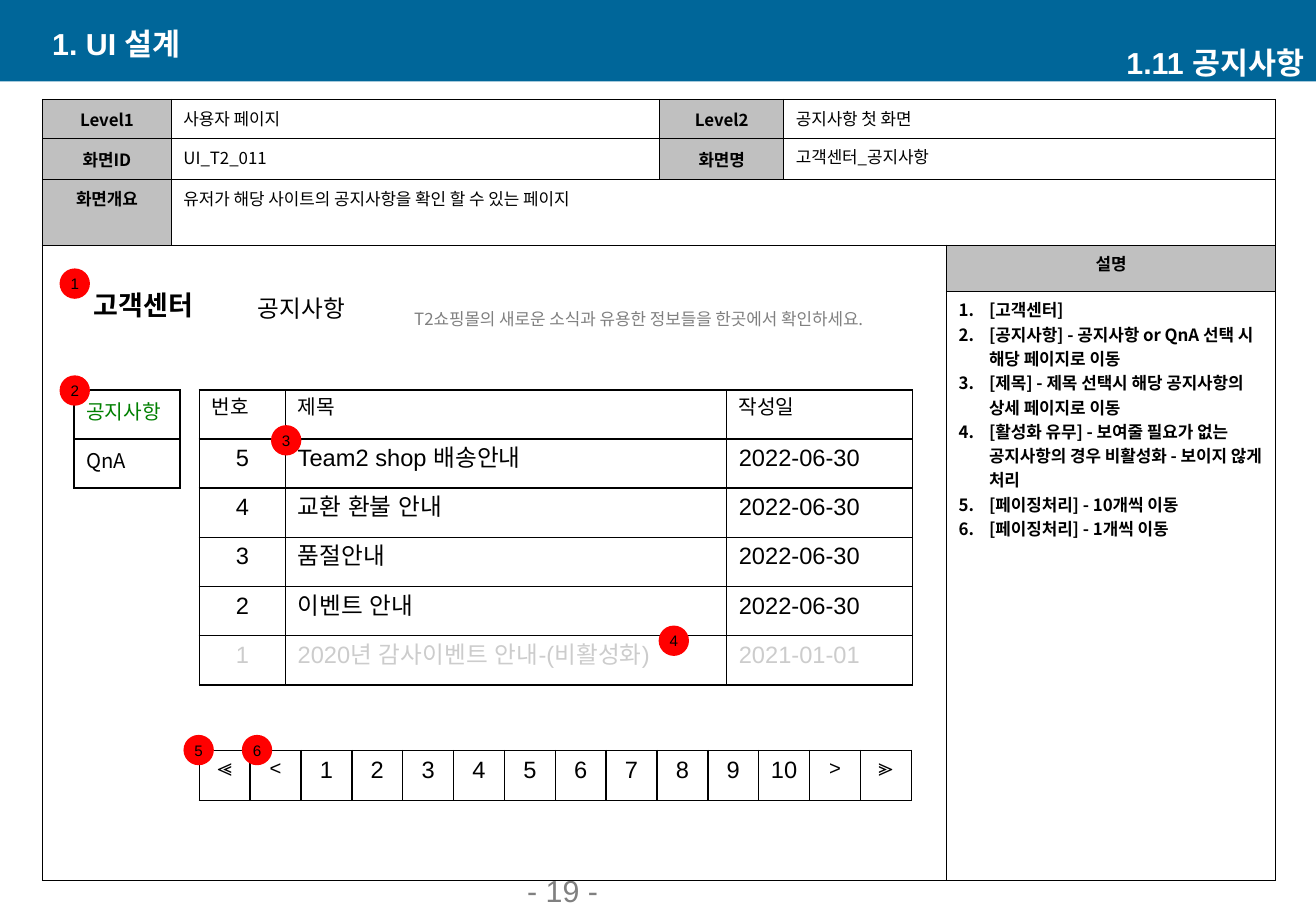
from lxml import etree
from pptx import Presentation
from pptx.dml.color import RGBColor
from pptx.enum import shapes, text
from pptx.oxml import ns
from pptx.util import Inches, Pt

COLORS = {"band": "006699", "label": "C0C0C0", "ink": "000000", "white": "FFFFFF",
          "muted": "808080", "disabled": "CCCCCC", "selected": "008000", "marker": "FF0000"}
SANS, KOREAN = "Arial", "Noto Sans CJK KR"
LEFT, CENTER, RIGHT = text.PP_ALIGN.LEFT, text.PP_ALIGN.CENTER, text.PP_ALIGN.RIGHT
TOP, MIDDLE, BOTTOM = text.MSO_ANCHOR.TOP, text.MSO_ANCHOR.MIDDLE, text.MSO_ANCHOR.BOTTOM


def rgb(color):
    return RGBColor.from_string(COLORS[color])


def write(frame, wording, size, font=SANS, color="ink", bold=False, align=LEFT):
    frame.text = wording
    for paragraph in frame.paragraphs:
        paragraph.alignment = align
        for run in paragraph.runs:
            run.font.size = Pt(size)
            run.font.bold = bold
            run.font.name = font
            run.font.color.rgb = rgb(color)
            etree.SubElement(run.font._element, ns.qn("a:ea"), typeface=font)


def place(shape, box):
    shape.left, shape.top, shape.width, shape.height = [Inches(length) for length in box]


def add_label(slide, box, wording, size, anchor=TOP, **style):
    label = slide.shapes.add_textbox(*[Inches(length) for length in box])
    label.text_frame.word_wrap = True
    label.text_frame.vertical_anchor = anchor
    write(label.text_frame, wording, size, **style)


def add_solid(slide, preset, box, color):
    solid = slide.shapes.add_shape(preset, *[Inches(length) for length in box])
    solid.shadow.inherit = False
    solid.fill.solid()
    solid.fill.fore_color.rgb = rgb(color)
    solid.line.fill.background()
    return solid


def add_grid(slide, left, top, widths, heights):
    grid = slide.shapes.add_table(len(heights), len(widths), Inches(left), Inches(top),
                                  Inches(sum(widths)), Inches(sum(heights))).table
    grid.first_row = grid.horz_banding = False
    for column, width in zip(grid.columns, widths):
        column.width = Inches(width)
    for row, height in zip(grid.rows, heights):
        row.height = Inches(height)
    for cell in grid.iter_cells():
        properties = cell._tc.get_or_add_tcPr()
        for side in ("lnL", "lnR", "lnT", "lnB"):
            border = etree.SubElement(properties, ns.qn(f"a:{side}"), w=str(Pt(1)))
            paint = etree.SubElement(border, ns.qn("a:solidFill"))
            etree.SubElement(paint, ns.qn("a:srgbClr"), val=COLORS["ink"])
        cell.fill.background()
        cell.text_frame.paragraphs[0]._p.get_or_add_endParaRPr().set("sz", "1000")
    return grid


def add_header(slide, box):
    left, top, width, height = box
    band = add_solid(slide, shapes.MSO_SHAPE.RECTANGLE, box, "band")
    chapter = slide.shapes.title
    chapter._element.addprevious(band._element)
    place(chapter, (left + 0.33, top + 0.19, 4.38, 0.33))
    chapter.text_frame.vertical_anchor = MIDDLE
    write(chapter.text_frame, "1. UI 설계", 18, color="white", bold=True)
    add_label(slide, (left + width - 4.38, top + 0.35, 4.38, 0.33), "1.11 공지사항", 18,
              anchor=MIDDLE, color="white", bold=True, align=RIGHT)


def add_screen_sheet(slide, left, top):
    sheet = add_grid(slide, left, top, [1.06, 4.02, 1.02, 1.34, 2.71],
                     [0.32, 0.34, 0.54, 0.38, 4.85])
    for start, end in [((0, 3), (0, 4)), ((1, 3), (1, 4)), ((2, 1), (2, 4)), ((3, 0), (4, 3))]:
        sheet.cell(*start).merge(sheet.cell(*end))

    labels = {(0, 0): "Level1", (0, 2): "Level2", (1, 0): "화면ID", (1, 2): "화면명",
              (2, 0): "화면개요", (3, 4): "설명"}
    for (row, column), wording in labels.items():
        cell = sheet.cell(row, column)
        cell.fill.solid()
        cell.fill.fore_color.rgb = rgb("label")
        cell.vertical_anchor = MIDDLE if row < 2 else TOP
        write(cell.text_frame, wording, 10, KOREAN, bold=True, align=CENTER)

    details = {(0, 1): "사용자 페이지", (0, 3): "공지사항 첫 화면", (1, 1): "UI_T2_011",
               (1, 3): "고객센터_공지사항",
               (2, 1): "유저가 해당 사이트의 공지사항을 확인 할 수 있는 페이지"}
    for position, wording in details.items():
        write(sheet.cell(*position).text_frame, wording, 10, KOREAN)
    sheet.cell(1, 1).text_frame.paragraphs[0].line_spacing = 1.04

    descriptions = ["[고객센터]",
                    "[공지사항] - 공지사항 or QnA 선택 시 해당 페이지로 이동",
                    "[제목] - 제목 선택시 해당 공지사항의 상세 페이지로 이동",
                    "[활성화 유무] - 보여줄 필요가 없는 공지사항의 경우 비활성화 - 보이지 않게 처리",
                    "[페이징처리] - 10개씩 이동",
                    "[페이징처리] - 1개씩 이동"]
    notes = sheet.cell(4, 4).text_frame
    write(notes, "\n".join(descriptions), 10, KOREAN, bold=True)
    for paragraph in notes.paragraphs:
        properties = paragraph._p.get_or_add_pPr()
        properties.set("marL", str(Inches(0.25)))
        properties.set("indent", str(Inches(-0.25)))
        etree.SubElement(properties, ns.qn("a:buFont"), typeface=KOREAN)
        etree.SubElement(properties, ns.qn("a:buAutoNum"), type="arabicPeriod")


def add_page_heading(slide, left, top):
    add_label(slide, (left, top, 1.22, 0.43), "고객센터", 16, font=KOREAN, bold=True, align=CENTER)
    add_label(slide, (left + 1.3, top + 0.04, 1.22, 0.43), "공지사항", 14, font=KOREAN, align=CENTER)
    add_label(slide, (left + 2.44, top + 0.16, 4.49, 0.27),
              "T2쇼핑몰의 새로운 소식과 유용한 정보들을 한곳에서 확인하세요.", 10,
              font=KOREAN, color="muted", align=CENTER)


def add_side_menu(slide, left, top):
    menu = add_grid(slide, left, top, [0.87], [0.405] * 2)
    for row, (wording, color) in enumerate([("공지사항", "selected"), ("QnA", "ink")]):
        write(menu.cell(row, 0).text_frame, wording, 12, KOREAN, color)


def add_notice_list(slide, left, top):
    notices = [("번호", "제목", "작성일"),
               ("5", "Team2 shop 배송안내", "2022-06-30"),
               ("4", "교환 환불 안내", "2022-06-30"),
               ("3", "품절안내", "2022-06-30"),
               ("2", "이벤트 안내", "2022-06-30"),
               ("1", "2020년 감사이벤트 안내-(비활성화)", "2021-01-01")]
    board = add_grid(slide, left, top, [0.71, 3.63, 1.53], [0.405] * len(notices))
    for row, notice in enumerate(notices):
        for column, wording in enumerate(notice):
            write(board.cell(row, column).text_frame, wording, 14 if row else 12,
                  color="disabled" if row == len(notices) - 1 else "ink",
                  align=CENTER if row and column == 0 else LEFT)


def add_pager(slide, left, top):
    steps = ["≪", "<", *[str(page) for page in range(1, 11)], ">", "≫"]
    pager = add_grid(slide, left, top, [5.86 / len(steps)] * len(steps), [0.41])
    for column, step in enumerate(steps):
        write(pager.cell(0, column).text_frame, step, 14 if step.isdigit() else 12, align=CENTER)


def add_markers(slide, positions, size=0.25):
    for number, (left, top) in enumerate(positions, 1):
        marker = add_solid(slide, shapes.MSO_SHAPE.OVAL, (left, top, size, size), "marker")
        frame = marker.text_frame
        frame.margin_left = frame.margin_right = frame.margin_top = frame.margin_bottom = 0
        frame.vertical_anchor = MIDDLE
        frame.word_wrap = False
        write(frame, str(number), 9, align=CENTER)


def main():
    deck = Presentation()
    deck.slide_width, deck.slide_height = Inches(10.83), Inches(7.5)
    slide = deck.slides.add_slide(deck.slide_layouts[5])
    add_header(slide, (0, 0, 10.83, 0.67))
    add_label(slide, (4.24, 7.3, 2.26, 0.23), "- 19 -", 18, anchor=BOTTOM, color="muted")
    add_screen_sheet(slide, 0.35, 0.82)
    add_page_heading(slide, 0.57, 2.33)
    add_side_menu(slide, 0.61, 3.21)
    add_notice_list(slide, 1.64, 3.21)
    add_pager(slide, 1.64, 6.18)
    add_markers(slide, [(0.49, 2.21), (0.49, 3.09), (2.23, 3.5),
                        (5.42, 5.15), (1.51, 6.05), (1.99, 6.05)])
    deck.save("out.pptx")


if __name__ == "__main__":
    main()
